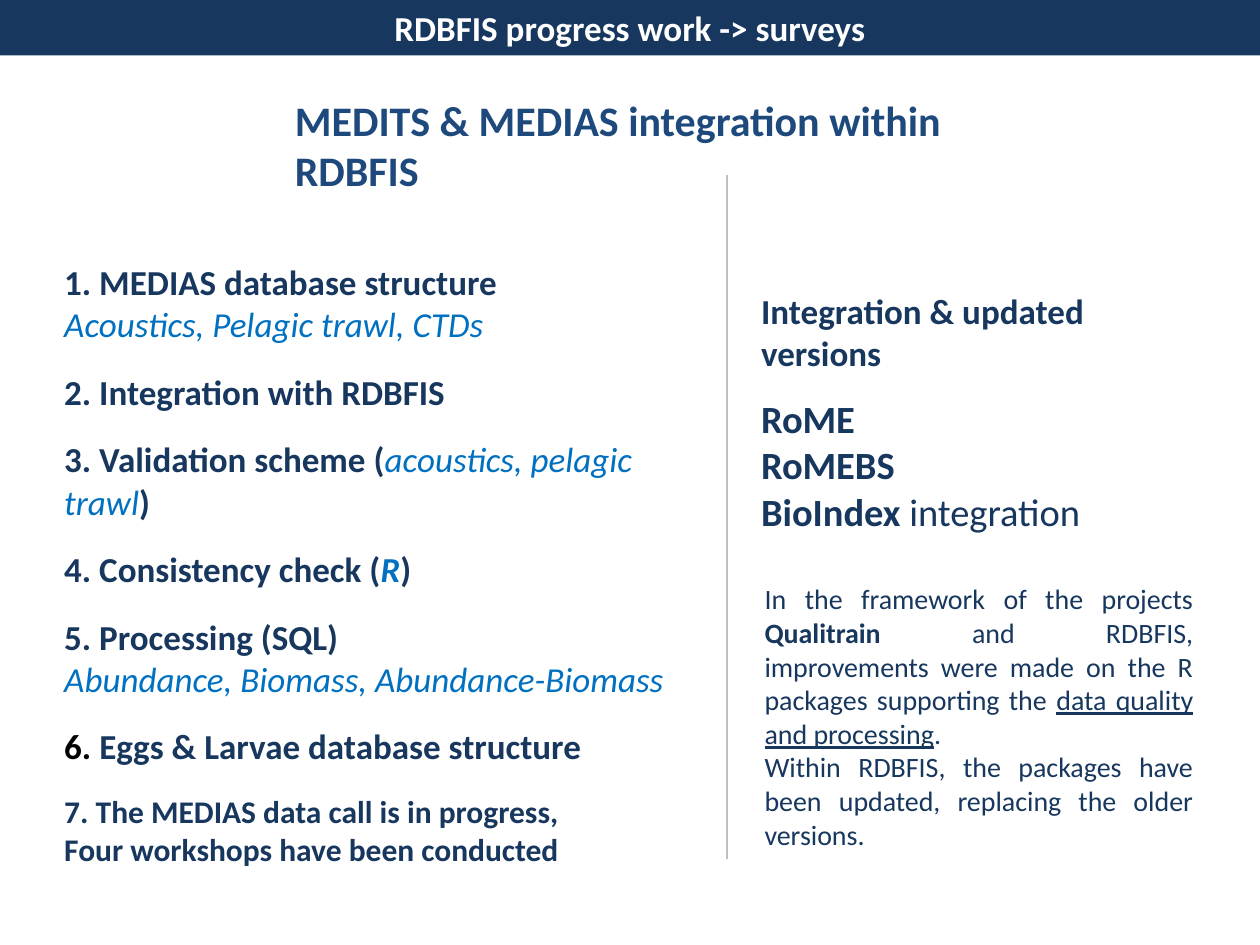
import pptx
import pptx.util
import pptx.dml.color
import pptx.enum.shapes
import pptx.enum.text
from dataclasses import dataclass
from lxml import etree
from pptx.oxml.ns import qn

ALIGN = pptx.enum.text.PP_ALIGN


@dataclass(frozen=True)
class Theme:
    font: str = "Calibri"
    navy: str = "17375E"
    title: str = "1E497C"
    accent: str = "0070C0"
    black: str = "000000"
    white: str = "FFFFFF"
    rule: str = "BFBFBF"
    title_size: int = 24
    tool_size: int = 22
    item_size: int = 20
    note_size: int = 18
    body_size: int = 16
    item_gap: float = 14.6
    tool_gap: float = 12.2


class SlideBuilder:
    """Places elements on a grid of 100 columns by 75 rows."""

    def __init__(self, prs, theme):
        self.prs, self.theme = prs, theme
        self.slide = prs.slides.add_slide(prs.slide_layouts[3])

    def cols(self, n):
        return int(self.prs.slide_width * n / 100)

    def rows(self, n):
        return int(self.prs.slide_height * n / 75)

    def box(self, col, row, width, height):
        return self.cols(col), self.rows(row), self.cols(width), self.rows(height)

    def rgb(self, color):
        return pptx.dml.color.RGBColor.from_string(color)

    def fill_text(self, sp, paragraphs, align=ALIGN.LEFT, anchor="TOP", **base):
        """Fill sp with (space before, [(text, format changes), ...]) paragraphs."""
        tf = sp.text_frame
        frame = {"word_wrap": True, "auto_size": pptx.enum.text.MSO_AUTO_SIZE.NONE,
                 "vertical_anchor": pptx.enum.text.MSO_ANCHOR[anchor]}
        for name, value in frame.items():
            setattr(tf, name, value)
        for i, (gap, runs) in enumerate(paragraphs):
            p = tf.paragraphs[0] if i == 0 else tf.add_paragraph()
            p.alignment, p.space_before = align, pptx.util.Pt(gap)
            pPr = p._p.get_or_add_pPr()
            pPr.set("marL", "0")
            pPr.set("indent", "0")
            etree.SubElement(pPr, qn("a:buNone"))
            for text, changes in runs:
                r = p.add_run()
                r.text = text
                style = {"name": self.theme.font, "bold": False, "italic": False,
                         "color": self.theme.navy, **base, **changes}
                r.font.color.rgb = self.rgb(style.pop("color"))
                style["size"] = pptx.util.Pt(style["size"])
                for name, value in style.items():
                    setattr(r.font, name, value)

    def placeholder(self, idx, box, paragraphs, **base):
        sp = self.slide.placeholders[idx]
        for name, value in zip(("left", "top", "width", "height"), self.box(*box)):
            setattr(sp, name, value)
        self.fill_text(sp, paragraphs, **base)

    def text(self, box, paragraphs, **base):
        self.fill_text(self.slide.shapes.add_textbox(*self.box(*box)), paragraphs, **base)

    def banner(self, box, text):
        sp = self.slide.shapes.add_shape(
            pptx.enum.shapes.MSO_SHAPE.RECTANGLE, *self.box(*box))
        sp.shadow.inherit = False
        sp.fill.solid()
        sp.fill.fore_color.rgb = self.rgb(self.theme.navy)
        sp.line.fill.background()
        self.fill_text(sp, [(0, [(text, {})])], align=ALIGN.CENTER, anchor="MIDDLE",
                       size=self.theme.item_size, bold=True, color=self.theme.white)

    def divider(self, col, top, bottom):
        line = self.slide.shapes.add_connector(
            pptx.enum.shapes.MSO_CONNECTOR.STRAIGHT,
            self.cols(col), self.rows(top), self.cols(col), self.rows(bottom))
        line.line.color.rgb = self.rgb(self.theme.rule)
        line.line.width = pptx.util.Pt(0.75)
        etree.SubElement(line._element.spPr, qn("a:effectLst"))


def main():
    prs = pptx.Presentation()
    prs.slide_width, prs.slide_height = pptx.util.Inches(10), pptx.util.Inches(7.5)
    t = Theme()
    s = SlideBuilder(prs, t)
    detail = {"color": t.accent, "bold": False, "italic": True}
    note = {"size": t.note_size}
    tool = {"size": t.tool_size}

    s.banner((0, 0, 100, 4.4), "RDBFIS progress work -> surveys")
    s.placeholder(0, (22.4, 7, 60.6, 5),
                  [(0, [("MEDITS & MEDIAS integration within RDBFIS", {})])],
                  size=t.title_size, bold=True, color=t.title)
    s.placeholder(1, (4.1, 20.2, 53.5, 49.5), [
        (0, [("1. MEDIAS database structure", {})]),
        (0, [("Acoustics, Pelagic trawl, CTDs", detail)]),
        (t.item_gap, [("2. Integration with RDBFIS", {})]),
        (t.item_gap, [("3. Validation scheme (", {}),
                      ("acoustics, pelagic trawl", detail), (")", {})]),
        (t.item_gap, [("4. Consistency check (", {}),
                      ("R", {**detail, "bold": True}), (")", {})]),
        (t.item_gap, [("5. Processing (SQL)", {})]),
        (0, [("Abundance, Biomass, Abundance-Biomass", detail)]),
        (t.item_gap, [("6. ", {"color": t.black}),
                      ("Eggs & Larvae database structure", {})]),
        (t.item_gap, [("7. The MEDIAS data call is in progress,", note)]),
        (0, [("Four workshops have been conducted", note)]),
    ], size=t.item_size, bold=True)
    s.placeholder(2, (59.4, 22.5, 29.6, 20.5), [
        (0, [("Integration & updated versions", {})]),
        (t.tool_gap, [("RoME", tool)]),
        (0, [("RoMEBS", tool)]),
        (0, [("BioIndex ", tool), ("integration", {**tool, "bold": False})]),
    ], size=t.item_size, bold=True)
    s.divider(57.7, 13.9, 68.2)
    s.text((59.7, 45.7, 36, 22.6), [
        (0, [("In the framework of the projects ", {}),
             ("Qualitrain", {"bold": True}),
             (" and RDBFIS, improvements were made on the R packages "
              "supporting the ", {}),
             ("data quality and processing", {"underline": True}), (".", {})]),
        (0, [("Within RDBFIS, the packages have been updated, "
              "replacing the older versions.", {})]),
    ], align=ALIGN.JUSTIFY, size=t.body_size)
    prs.save("out.pptx")


if __name__ == "__main__":
    main()
